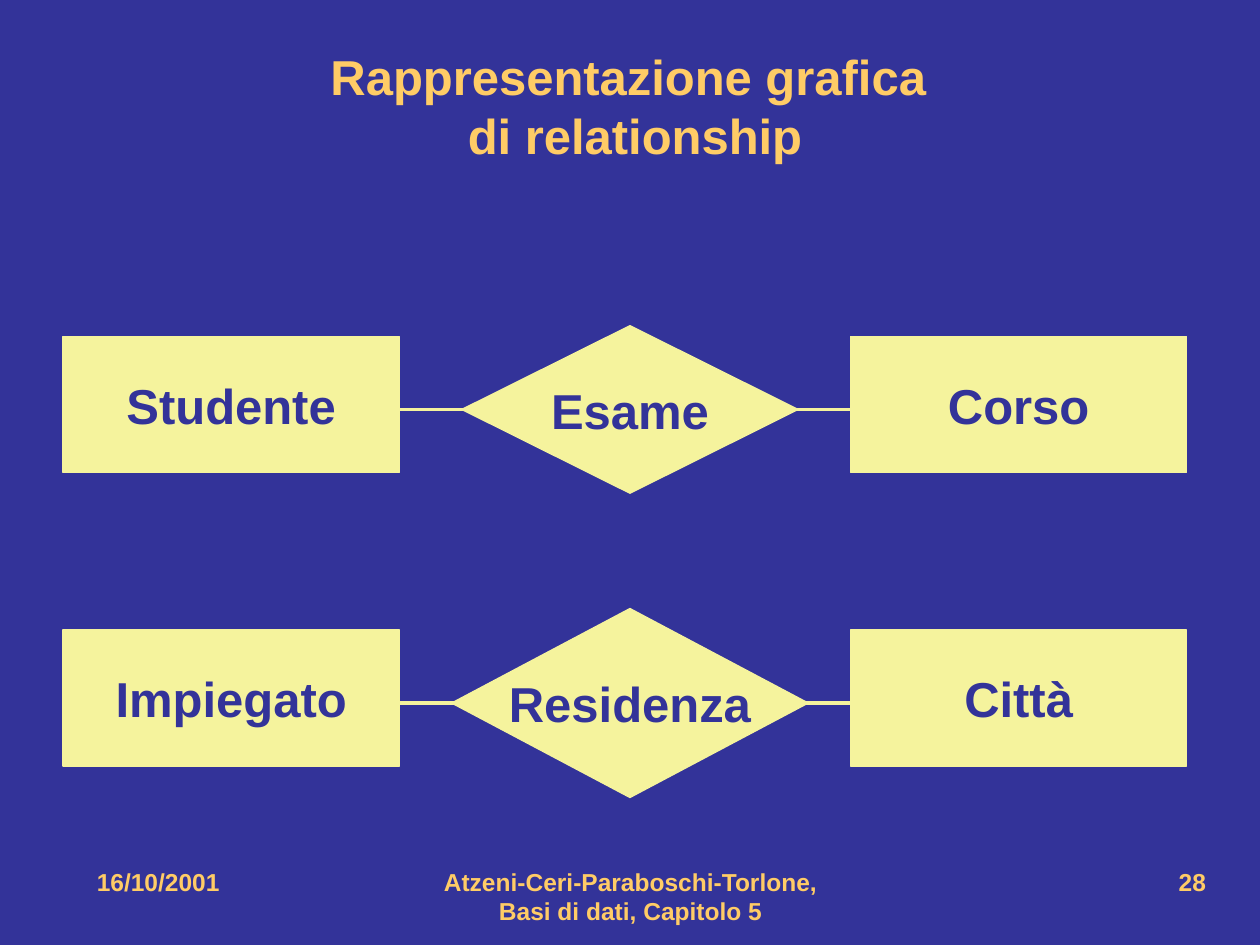
from pptx import Presentation
from pptx.dml.color import RGBColor
from pptx.enum.shapes import MSO_CONNECTOR, MSO_SHAPE
from pptx.enum.text import MSO_ANCHOR, PP_ALIGN
from pptx.oxml.ns import qn
from pptx.util import Inches, Pt
from lxml.etree import SubElement

BLUE = RGBColor(0x33, 0x33, 0x99)
GOLD = RGBColor(0xFF, 0xCC, 0x66)
CREAM = RGBColor(0xF5, 0xF3, 0x9D)
MID = 5


def set_text(shape, text, size, color, align, anchor, wrap):
    frame = shape.text_frame
    frame.text = text
    look = {"word_wrap": wrap, "vertical_anchor": anchor}
    for name, value in look.items():
        setattr(frame, name, value)
    face = {"name": "Arial", "size": Pt(size), "bold": True}
    for part in frame.paragraphs:
        part.alignment = align
        for run in part.runs:
            for name, value in face.items():
                setattr(run.font, name, value)
            run.font.color.rgb = color


def add_title(slide, text):
    title = slide.shapes.title
    place = {"left": 0.5, "top": 0.25, "width": 9.08, "height": 1.17}
    for name, value in place.items():
        setattr(title, name, Inches(value))
    set_text(title, text, 28, GOLD, PP_ALIGN.CENTER, MSO_ANCHOR.MIDDLE, True)


def add_node(shapes, kind, text, left, top, width, height):
    node = shapes.add_shape(kind, *map(Inches, (left, top, width, height)))
    node.shadow.inherit = False
    for fill in (node.fill, node.line.fill):
        fill.solid()
        fill.fore_color.rgb = CREAM
    node.line.width = Pt(0.75)
    set_text(node, text, 28, BLUE, PP_ALIGN.CENTER, MSO_ANCHOR.MIDDLE, False)


def add_link(shapes, left, right, level):
    link = shapes.add_connector(
        MSO_CONNECTOR.STRAIGHT, *map(Inches, (left, level, right, level)))
    link.line.color.rgb = CREAM
    link.line.width = Pt(2.25)
    SubElement(link._element.spPr, qn("a:effectLst"))


def add_row(slide, names, level, width, height):
    first, bond, last = names
    group = slide.shapes.add_group_shape()
    add_link(group.shapes, 2.83, 6.92, level)
    add_node(group.shapes, MSO_SHAPE.DIAMOND, bond,
             MID - width / 2, level - height / 2, width, height)
    for text, left in ((first, 0.5), (last, 6.75)):
        add_node(slide.shapes, MSO_SHAPE.RECTANGLE, text,
                 left, level - 0.58, 2.67, 1.08)


def add_foot(slide, text, left, width, align):
    box = slide.shapes.add_textbox(*map(Inches, (left, 6.83, width, 0.5)))
    set_text(box, text, 14, GOLD, align, MSO_ANCHOR.TOP, True)


def main():
    deck = Presentation()
    deck.slide_width, deck.slide_height = Inches(10), Inches(7.5)
    slide = deck.slides.add_slide(deck.slide_layouts[5])
    slide.background.fill.solid()
    slide.background.fill.fore_color.rgb = BLUE
    add_title(slide, "Rappresentazione grafica \vdi relationship")
    add_row(slide, ("Studente", "Esame", "Corso"), 3.25, 2.67, 1.33)
    add_row(slide, ("Impiegato", "Residenza", "Città"), 5.58, 2.83, 1.5)
    add_foot(slide, "Atzeni-Ceri-Paraboschi-Torlone, Basi di dati, Capitolo 5",
             3.42, 3.17, PP_ALIGN.CENTER)
    add_foot(slide, "28", 7.17, 2.5, PP_ALIGN.RIGHT)
    add_foot(slide, "16/10/2001", 0.67, 2.17, PP_ALIGN.LEFT)
    deck.save("out.pptx")


if __name__ == "__main__":
    main()
